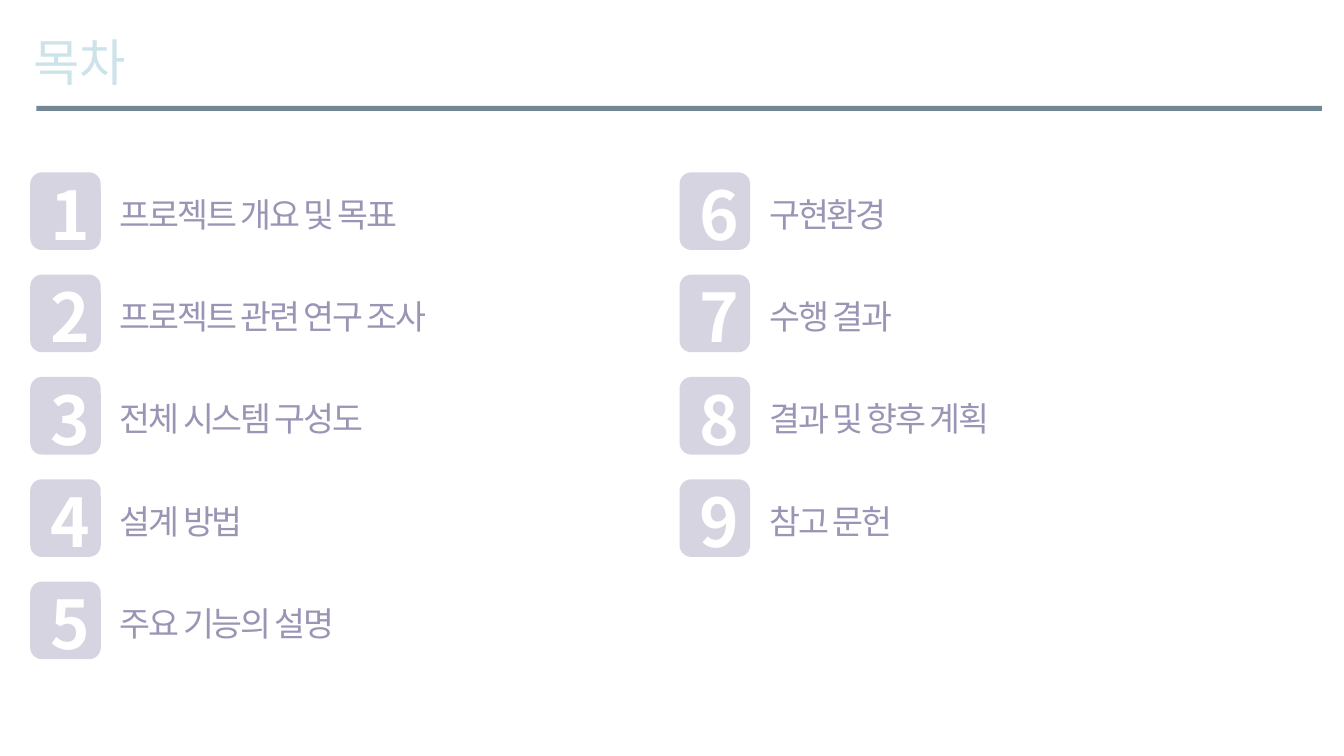
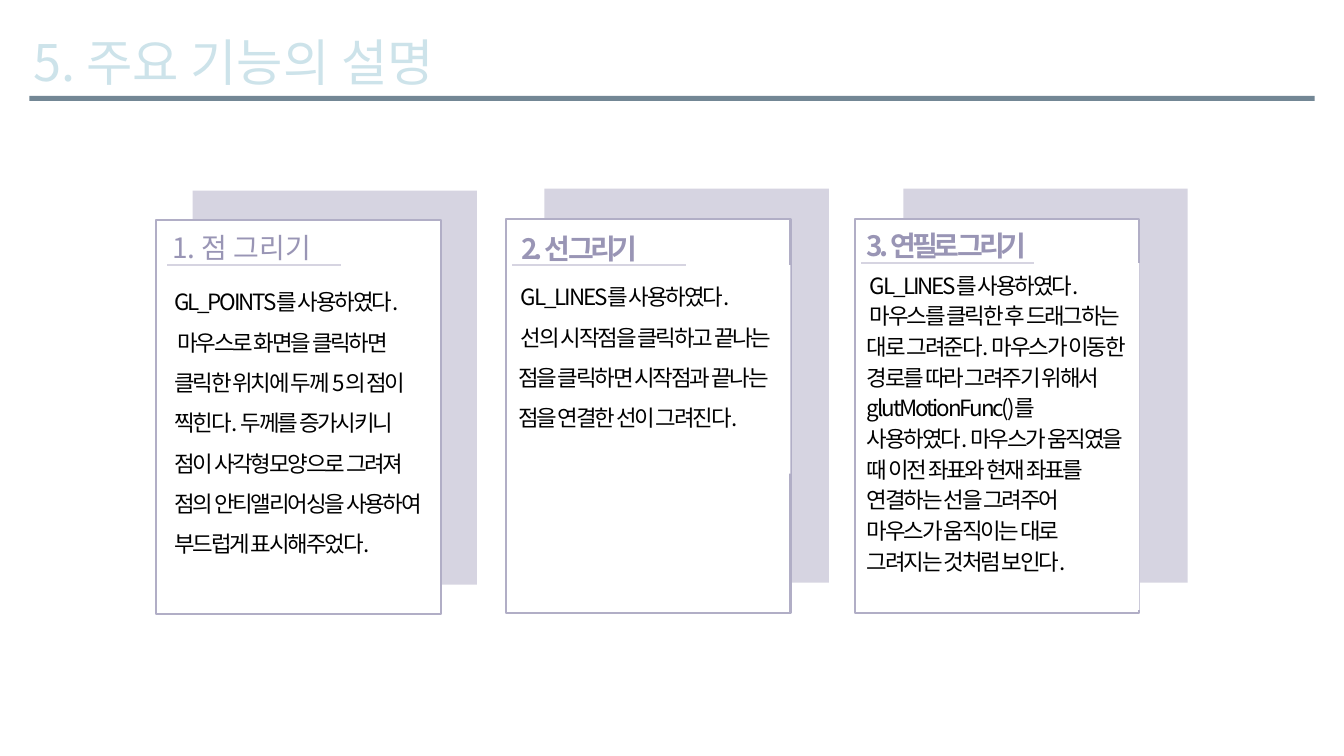
import dataclasses

import pptx
import pptx.dml.color
import pptx.enum.shapes
import pptx.enum.text
import pptx.oxml.ns
import pptx.util
from lxml import etree

Inches = pptx.util.Inches
Pt = pptx.util.Pt
Shape = pptx.enum.shapes.MSO_SHAPE
Align = pptx.enum.text.PP_ALIGN
qn = pptx.oxml.ns.qn


@dataclasses.dataclass(frozen=True)
class Theme:
    font: str = "Noto Sans CJK KR"
    title: str = "CDE3EA"
    bar: str = "738795"
    tile: str = "D6D4E1"
    edge: str = "B1AEC6"
    label: str = "9995B5"
    white: str = "FFFFFF"
    black: str = "000000"
    head_size: int = 36
    digit_size: int = 48
    list_size: int = 24
    sub_size: int = 20
    body_size: int = 16
    leading: float = 1.2
    tight: float = -1.5


def rgb(code):
    return pptx.dml.color.RGBColor.from_string(code)


def box(left, top, width, height):
    return [Inches(n) for n in (left, top, width, height)]


class Deck:
    def __init__(self, theme):
        self.theme = theme
        self.show = pptx.Presentation()
        self.show.slide_width = Inches(13.33)
        self.show.slide_height = Inches(7.5)
        self.slide = None

    def start(self, layout, title, left, top):
        """Add a slide with its title and the bar below, at left and top."""
        look = self.theme
        self.slide = self.show.slides.add_slide(self.show.slide_layouts[layout])
        head = self.slide.shapes.title
        self.place(head, 0.23, 0.26, 12.8, 0.7)
        self.put_text(head, [title], look.head_size, look.title)
        self.rect(left, top, 12.75, 0.05, look.bar)

    def place(self, shape, *spot):
        shape.left, shape.top, shape.width, shape.height = box(*spot)

    def put_text(self, shape, lines, size, color, bold=False, space=0,
                 pitch=None, after=0, align=Align.LEFT):
        """Fill a shape with paragraphs; pitch is the line height in ems."""
        frame = shape.text_frame
        frame.word_wrap = True
        frame.auto_size = pptx.enum.text.MSO_AUTO_SIZE.NONE
        frame.vertical_anchor = pptx.enum.text.MSO_ANCHOR.TOP
        frame.text = "\n".join(lines)
        for para in frame.paragraphs:
            para.alignment = align
            para.line_spacing = Pt(size * (pitch or self.theme.leading))
            para.space_before = Pt(0)
            para.space_after = Pt(after)
            for run in para.runs:
                font = run.font
                font.size, font.bold = Pt(size), bold
                font.name = self.theme.font
                font.color.rgb = rgb(color)
                props = run._r.get_or_add_rPr()
                props.set("spc", str(int(space * 100)))
                east = etree.SubElement(props, qn("a:ea"))
                east.set("typeface", self.theme.font)

    def rect(self, left, top, width, height, fill, edge=None, kind=Shape.RECTANGLE):
        shape = self.slide.shapes.add_shape(kind, *box(left, top, width, height))
        shape.shadow.inherit = False
        shape.fill.solid()
        shape.fill.fore_color.rgb = rgb(fill)
        if edge:
            shape.line.color.rgb = rgb(edge)
            shape.line.width = Pt(1.5)
        else:
            shape.line.fill.background()
        return shape

    def line(self, left, top, width):
        link = self.slide.shapes.add_connector(
            pptx.enum.shapes.MSO_CONNECTOR.STRAIGHT,
            *box(left, top, left + width, top))
        link.line.color.rgb = rgb(self.theme.tile)
        link.line.width = Pt(1.5)
        etree.SubElement(link._element.spPr, qn("a:effectLst"))

    def tile(self, left, top, digit):
        look = self.theme
        self.rect(left, top, 0.7, 0.77, look.tile, kind=Shape.ROUNDED_RECTANGLE)
        text = self.slide.shapes.add_textbox(*box(left + 0.1, top - 0.04, 0.54, 0.91))
        self.put_text(text, [str(digit)], look.digit_size, look.white, bold=True,
                      align=Align.CENTER)

    def items(self, holder, left, first, names):
        """Number the names down one column, a tile beside each."""
        look = self.theme
        top, step = 1.71, 1.015
        self.place(holder, left + 0.79, top + 0.16, 4.1, step * len(names))
        gap = step * 72 - look.list_size * look.leading
        self.put_text(holder, names, look.list_size, look.label,
                      space=look.tight, after=gap)
        for para in holder.text_frame.paragraphs:
            props = para._p.get_or_add_pPr()
            props.set("marL", "0")
            props.set("indent", "0")
            etree.SubElement(props, qn("a:buNone"))
        for row in range(len(names)):
            self.tile(left, top + row * step, first + row)

    def card(self, card):
        look = self.theme
        size = (2.82, 3.91)
        self.rect(*card.back, *size, look.tile)
        self.rect(*card.front, *size, look.white, look.edge)
        body = self.rect(*card.area, look.white)
        self.put_text(body, card.lines, look.body_size, look.black,
                      space=look.tight, pitch=card.pitch)
        head = self.rect(*card.top, 0.44, look.white)
        self.put_text(head, [card.name], look.sub_size, look.label,
                      bold=card.bold, space=-3 if card.bold else 0)
        self.line(*card.rule, 1.72)


@dataclasses.dataclass
class Card:
    name: str
    lines: list
    back: tuple
    front: tuple
    area: tuple
    top: tuple
    rule: tuple
    pitch: float = 1.8
    bold: bool = True


PARTS = ["프로젝트 개요 및 목표", "프로젝트 관련 연구 조사", "전체 시스템 구성도",
         "설계 방법", "주요 기능의 설명", "구현환경", "수행 결과",
         "결과 및 향후 계획", "참고 문헌"]

CARDS = [
    Card("1. 점 그리기",
         ["GL_POINTS를 사용하였다.",
          " 마우스로 화면을 클릭하면 클릭한 위치에 두께 5의 점이 찍힌다. "
          "두께를 증가시키니 점이 사각형모양으로 그려져 점의 안티앨리어싱을 "
          "사용하여 부드럽게 표시해주었다."],
         back=(1.91, 1.89), front=(1.55, 2.18), area=(1.63, 2.68, 2.65, 3.29),
         top=(1.61, 2.24, 2.09), rule=(1.66, 2.63), bold=False),
    Card("2. 선 그리기",
         [" GL_LINES를 사용하였다.",
          " 선의 시작점을 클릭하고 끝나는 점을 클릭하면 시작점과 끝나는 점을 "
          "연결한 선이 그려진다."],
         back=(5.4, 1.87), front=(5.02, 2.17), area=(5.04, 2.63, 2.8, 2.07),
         top=(5.07, 2.25, 2.12), rule=(5.08, 2.63)),
    Card("3. 연필로 그리기",
         [" GL_LINES를 사용하였다.",
          " 마우스를 클릭한 후 드래그하는 대로 그려준다. 마우스가 이동한 경로를 "
          "따라 그려주기 위해서 glutMotionFunc()를 사용하였다. 마우스가 움직였을 때 "
          "이전 좌표와 현재 좌표를 연결하는 선을 그려주어 마우스가 움직이는 대로 "
          "그려지는 것처럼 보인다."],
         back=(8.96, 1.87), front=(8.48, 2.17), area=(8.5, 2.61, 2.8, 3.44),
         top=(8.5, 2.22, 2.65), rule=(8.54, 2.61), pitch=1.37),
]


def main():
    deck = Deck(Theme())

    deck.start(3, "목차", 0.36, 1.05)
    left, right = list(deck.slide.placeholders)[1:]
    deck.items(left, 0.3, 1, PARTS[:5])
    deck.items(right, 6.74, 6, PARTS[5:])

    deck.start(5, "5. 주요 기능의 설명", 0.29, 0.95)
    for card in CARDS:
        deck.card(card)

    deck.show.save("out.pptx")


if __name__ == "__main__":
    main()
